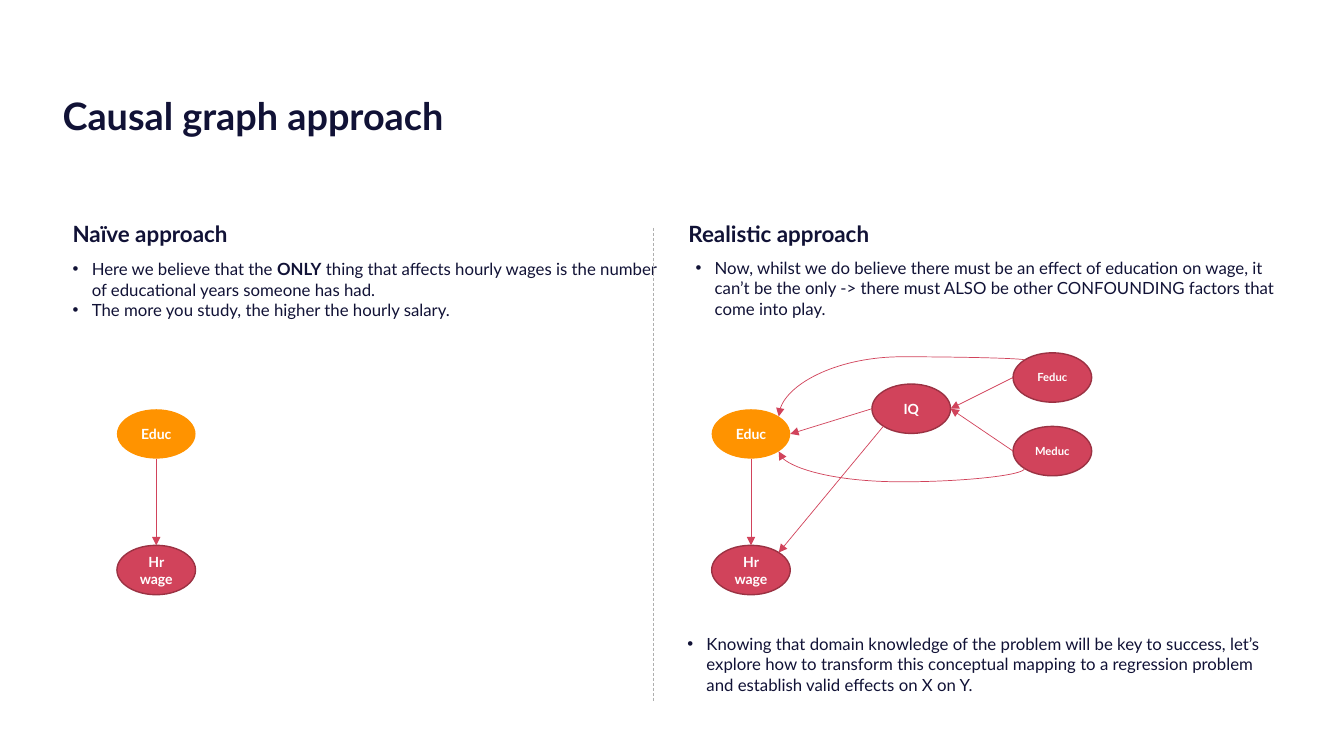
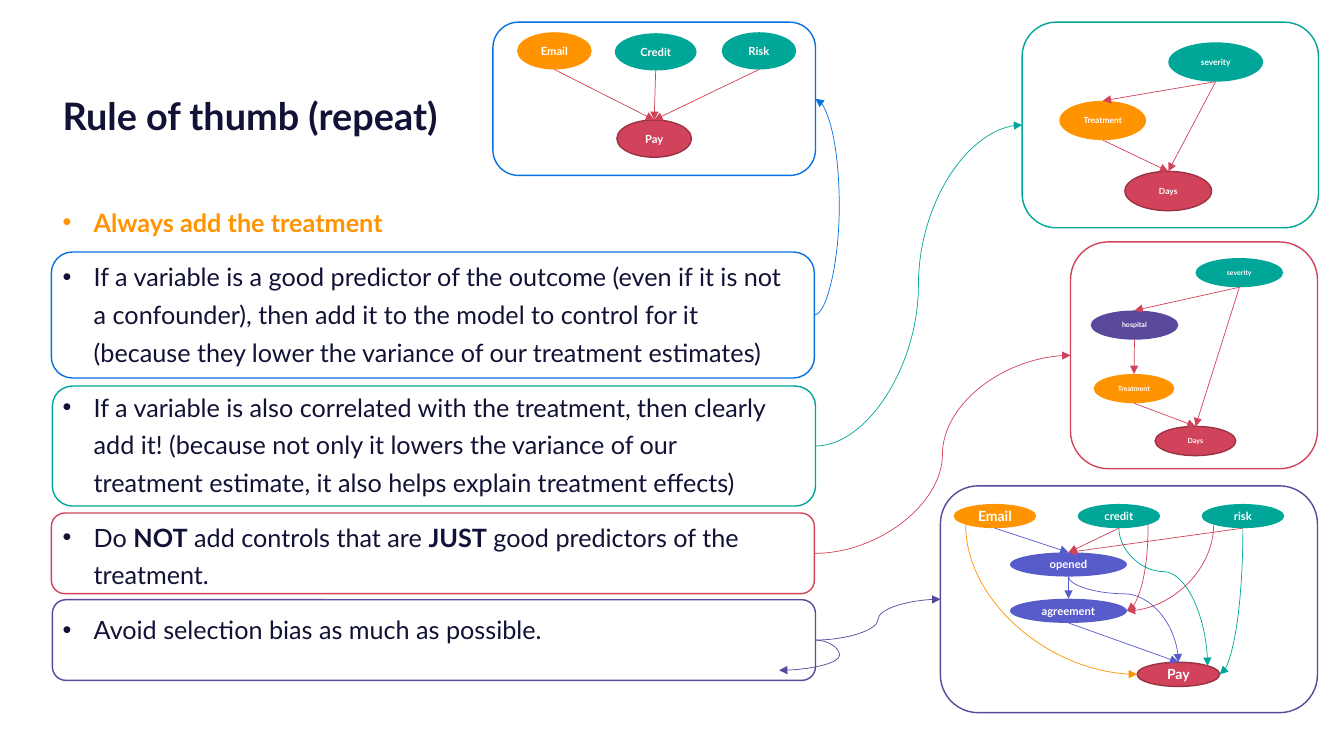
"""Build two slides on causal graphs and the choice of control variables."""
import enum
import math
from dataclasses import dataclass
from typing import Any, Optional

import pptx
import pptx.dml.color
import pptx.enum.dml
import pptx.enum.shapes
import pptx.enum.text
import pptx.oxml
import pptx.oxml.ns
import pptx.util

RGBColor = pptx.dml.color.RGBColor
NAVY = RGBColor(0x11, 0x12, 0x36)
WHITE = RGBColor(0xFF, 0xFF, 0xFF)
ORANGE = RGBColor(0xFF, 0x93, 0x00)
RED = RGBColor(0xD1, 0x43, 0x5B)
DARK_RED = RGBColor(0x9B, 0x32, 0x43)
TEAL = RGBColor(0x00, 0xA6, 0x98)
BLUE = RGBColor(0x07, 0x70, 0xE3)
PURPLE = RGBColor(0x59, 0x48, 0x9B)
VIOLET = RGBColor(0x58, 0x5B, 0xCA)
GREY = RGBColor(0xAF, 0xAF, 0xAF)

FONT = "Lato"
COLUMNS, ROWS = 133.33, 75
CELL = 91440
MARGIN = 6.2
TOP, LEFT, BOTTOM, RIGHT = 0, 2, 4, 6
TOP_LEFT, BOTTOM_LEFT, BOTTOM_RIGHT, TOP_RIGHT = 1, 3, 5, 7
FRAME_LEFT, FRAME_RIGHT = 1, 3


class Route(enum.Enum):
    """Path taken by an arrow."""
    STRAIGHT = "line"
    SIDEWAYS = "curvedConnector3"
    UPRIGHT = "upright"
    ARC = "curvedConnector2"


@dataclass(frozen=True)
class Box:
    """Area in grid columns and rows."""
    left: float
    top: float
    width: float
    height: float

    def lengths(self) -> list[int]:
        """Return the area in slide units."""
        return [cells(value) for value in (self.left, self.top, self.width, self.height)]


@dataclass(frozen=True)
class Piece:
    """One run of text."""
    text: str
    bold: bool = False
    color: RGBColor = NAVY


@dataclass(frozen=True)
class TextStyle:
    """Size and spacing of paragraphs."""
    size: float
    indent: float = 0
    line_spacing: float = 1
    space_after: float = 0


@dataclass(frozen=True)
class End:
    """End of an arrow, joined to a shape when there is one."""
    x: float
    y: float
    shape: Any = None
    site: int = 0


@dataclass(frozen=True)
class Node:
    """Drawn ellipse or frame with its connection sites."""
    shape: Any
    box: Box
    sites: int

    def at(self, site: int) -> End:
        """Return the connection site, counted anticlockwise from the top."""
        angle = 2 * math.pi * site / self.sites
        return End(self.box.left + self.box.width * (1 - math.sin(angle)) / 2,
                   self.box.top + self.box.height * (1 - math.cos(angle)) / 2, self.shape, site)


@dataclass(frozen=True)
class Variable:
    """Variable of a causal graph."""
    label: str
    left: float
    top: float
    color: RGBColor
    size: Optional[float] = None
    width: Optional[float] = None


@dataclass(frozen=True)
class Link:
    """Arrow between two variables."""
    source: str
    target: str
    start: int = BOTTOM
    end: int = TOP
    color: RGBColor = RED
    route: Route = Route.STRAIGHT
    bend: float = 0


TITLE = TextStyle(27, line_spacing=1.08)
HEADING = TextStyle(16)
NOTE = TextStyle(12, indent=1.9)
RULE = TextStyle(18, indent=3.1, line_spacing=1.25, space_after=12)


def cells(value: float) -> int:
    """Convert grid cells to slide units."""
    return round(value * CELL)


def write(shape: Any, paragraphs: list[list[Piece]], style: TextStyle, inset: bool = True) -> None:
    """Write paragraphs into a shape, run by run."""
    frame = shape.text_frame
    frame.word_wrap = True
    frame.auto_size = pptx.enum.text.MSO_AUTO_SIZE.NONE
    frame.vertical_anchor = pptx.enum.text.MSO_ANCHOR.TOP
    if not inset:
        frame.margin_left = frame.margin_right = frame.margin_top = frame.margin_bottom = 0
    for index, pieces in enumerate(paragraphs):
        paragraph = frame.add_paragraph() if index else frame.paragraphs[0]
        if style.indent:
            properties = paragraph._p.get_or_add_pPr()
            properties.set("marL", str(cells(style.indent)))
            properties.set("indent", str(-cells(style.indent)))
            for tag, name, value in (("a:buFont", "typeface", "Arial"), ("a:buChar", "char", "•")):
                properties.append(pptx.oxml.parse_xml(
                    f'<{tag} {pptx.oxml.ns.nsdecls("a")} {name}="{value}"/>'))
        paragraph.alignment = pptx.enum.text.PP_ALIGN.LEFT
        paragraph.line_spacing = style.line_spacing
        paragraph.space_before = pptx.util.Pt(0)
        paragraph.space_after = pptx.util.Pt(style.space_after)
        for piece in pieces:
            add_run(paragraph, piece, style.size)


def add_run(paragraph: Any, piece: Piece, size: float) -> None:
    """Add one formatted run."""
    run = paragraph.add_run()
    run.text = piece.text
    run.font.name, run.font.size, run.font.bold = FONT, pptx.util.Pt(size), piece.bold
    run.font.color.rgb = piece.color


def place(shape: Any, box: Box) -> None:
    """Move a placeholder."""
    shape.left, shape.top, shape.width, shape.height = box.lengths()


def add_titled_slide(presentation: Any, layout: int, title: str) -> Any:
    """Add a slide with the shared title style."""
    slide = presentation.slides.add_slide(presentation.slide_layouts[layout])
    place(slide.shapes.title, Box(MARGIN, 8.8, 72.8, 4.4))
    write(slide.shapes.title, [[Piece(title, True)]], TITLE, inset=False)
    return slide


def add_frame(slide: Any, box: Box, color: RGBColor) -> Node:
    """Add a rounded outline."""
    shape = slide.shapes.add_shape(pptx.enum.shapes.MSO_SHAPE.ROUNDED_RECTANGLE, *box.lengths())
    shape.shadow.inherit = False
    shape.fill.background()
    shape.line.color.rgb, shape.line.width = color, pptx.util.Pt(1)
    return Node(shape, box, 4)


def add_ellipse(slide: Any, variable: Variable, box: Box, size: float) -> Node:
    """Add a labelled ellipse; an outcome has a dark outline."""
    shape = slide.shapes.add_shape(pptx.enum.shapes.MSO_SHAPE.OVAL, *box.lengths())
    shape.shadow.inherit = False
    shape.fill.solid()
    shape.fill.fore_color.rgb = variable.color
    if variable.color == RED:
        shape.line.color.rgb, shape.line.width = DARK_RED, pptx.util.Pt(1)
    else:
        shape.line.fill.background()
    shape.text_frame.word_wrap = True
    shape.text_frame.vertical_anchor = pptx.enum.text.MSO_ANCHOR.MIDDLE
    paragraph = shape.text_frame.paragraphs[0]
    paragraph.alignment = pptx.enum.text.PP_ALIGN.CENTER
    add_run(paragraph, Piece(variable.label, True, WHITE), size)
    return Node(shape, box, 8)


def add_line(slide: Any, start: End, end: End, color: RGBColor, curved: bool = False) -> Any:
    """Add a thin line without shadow."""
    kinds = pptx.enum.shapes.MSO_CONNECTOR
    connector = slide.shapes.add_connector(
        kinds.CURVE if curved else kinds.STRAIGHT,
        *(cells(value) for value in (start.x, start.y, end.x, end.y)))
    connector.line.color.rgb, connector.line.width = color, pptx.util.Pt(0.5)
    connector._element.spPr.append(
        pptx.oxml.parse_xml(f'<a:effectLst {pptx.oxml.ns.nsdecls("a")}/>'))
    return connector


def bend_connector(connector: Any, start: End, end: End, route: Route, bend: float) -> None:
    """Shape a curve that leaves sideways, or upright after a quarter turn."""
    across, down = end.x - start.x, end.y - start.y
    properties = connector._element.spPr
    transform = properties.find(pptx.oxml.ns.qn("a:xfrm"))
    geometry = properties.find(pptx.oxml.ns.qn("a:prstGeom"))
    first, origin, flips = across, start.x, (across < 0, down < 0)
    if route is not Route.SIDEWAYS:
        first, origin, flips = down, start.y, (down < 0, across > 0)
        transform.set("rot", "5400000")
        connector.left = cells((start.x + end.x - abs(down)) / 2)
        connector.top = cells((start.y + end.y - abs(across)) / 2)
        connector.width, connector.height = cells(abs(down)), cells(abs(across))
    for name, flip in zip(("flipH", "flipV"), flips):
        transform.set(name, str(int(flip)))
    if route is Route.ARC:
        geometry.set("prst", Route.ARC.value)
        return
    guides = geometry.get_or_add_avLst()
    share = round(100000 * (bend - origin) / first)
    guides.append(pptx.oxml.parse_xml(
        f'<a:gd {pptx.oxml.ns.nsdecls("a")} name="adj1" fmla="val {share}"/>'))


def add_arrow(slide: Any, start: End, end: End, color: RGBColor,
              route: Route = Route.STRAIGHT, bend: float = 0) -> None:
    """Add an arrow joined to the shapes at its ends."""
    connector = add_line(slide, start, end, color, route is not Route.STRAIGHT)
    joins = ((start, connector.begin_connect, "a:stCxn"), (end, connector.end_connect, "a:endCxn"))
    for joint, connect, tag in joins:
        if joint.shape is not None:
            connect(joint.shape, 0)
            next(connector._element.iter(pptx.oxml.ns.qn(tag))).set("idx", str(joint.site))
    connector.begin_x, connector.begin_y = cells(start.x), cells(start.y)
    connector.end_x, connector.end_y = cells(end.x), cells(end.y)
    if route is not Route.STRAIGHT:
        bend_connector(connector, start, end, route, bend)
    connector.line._get_or_add_ln().append(
        pptx.oxml.parse_xml(f'<a:tailEnd {pptx.oxml.ns.nsdecls("a")} type="triangle"/>'))


def add_graph(slide: Any, variables: list[Variable], links: list[Link],
              width: float, height: float, size: float) -> None:
    """Draw variables and the arrows between them."""
    nodes = {}
    for variable in variables:
        box = Box(variable.left, variable.top, variable.width or width, height)
        nodes[variable.label] = add_ellipse(slide, variable, box, variable.size or size)
    for link in links:
        add_arrow(slide, nodes[link.source].at(link.start), nodes[link.target].at(link.end),
                  link.color, link.route, link.bend)


def build_approaches(presentation: Any) -> None:
    """Compare the naïve and the realistic graph."""
    slide = add_titled_slide(presentation, 4, "Causal graph approach")
    naive_heading, naive_list, real_heading, real_list = list(slide.placeholders)[1:]
    for shape, left, text in ((naive_heading, MARGIN, "Naïve approach"),
                              (real_heading, 67.3, "Realistic approach")):
        place(shape, Box(left, 21.3, 61.1, 3.7))
        write(shape, [[Piece(text, True)]], HEADING)
    place(naive_list, Box(MARGIN, 25.2, 60.4, 9.8))
    write(naive_list, [
        [Piece("Here we believe that the "), Piece("ONLY", True),
         Piece(" thing that affects hourly wages is the number of educational years someone has had.")],
        [Piece("The more you study, the higher the hourly salary.")]], NOTE)
    place(real_list, Box(68, 25.1, 60.4, 7.1))
    write(real_list, [[Piece("Now, whilst we do believe there must be an effect of education on wage, it can’t be the only -> there must ALSO be other CONFOUNDING factors that come into play.")]], NOTE)
    closing = slide.shapes.add_textbox(*Box(67.2, 62.4, 60.4, 7.1).lengths())
    write(closing, [[Piece("Knowing that domain knowledge of the problem will be key to success, let’s explore how to transform this conceptual mapping to a regression problem and establish valid effects on X on Y.")]], NOTE)
    confounders = [Variable("IQ", 86.5, 38.1, RED), Variable("Meduc", 100.5, 42.3, RED, 8),
                   Variable("Feduc", 100.5, 35, RED, 8)]
    paths = [Link("Feduc", "IQ", LEFT, RIGHT), Link("Meduc", "IQ", LEFT, RIGHT),
             Link("IQ", "Educ", LEFT, RIGHT), Link("IQ", "Hr wage", BOTTOM_LEFT, TOP_RIGHT),
             Link("Feduc", "Educ", TOP_LEFT, TOP_RIGHT, RED, Route.UPRIGHT, 35.4),
             Link("Meduc", "Educ", BOTTOM_LEFT, BOTTOM_RIGHT, RED, Route.UPRIGHT, 47.8)]
    for left, extra, links in ((11.6, [], []), (70.6, confounders, paths)):
        core = [Variable("Educ", left, 40.6, ORANGE), Variable("Hr wage", left, 54.1, RED)]
        add_graph(slide, core + extra, [Link("Educ", "Hr wage")] + links, 7.8, 4.9, 10)
    divider = add_line(slide, End(64.8, 22.6), End(64.8, 69.5), GREY)
    divider.line.dash_style = pptx.enum.dml.MSO_LINE.DASH


def build_rules(presentation: Any) -> None:
    """Match each rule of thumb with its graph."""
    slide = add_titled_slide(presentation, 1, "Rule of thumb (repeat)")
    body = slide.placeholders[1]
    place(body, Box(MARGIN, 19.8, 71.7, 44.2))
    write(body, [
        [Piece("Always add the treatment", True, ORANGE)],
        [Piece("If a variable is a good predictor of the outcome (even if it is not a confounder), then add it to the model to control for it (because they lower the variance of our treatment estimates)")],
        [Piece("If a variable is also correlated with the treatment, then clearly add it! (because not only it lowers the variance of our treatment estimate, it also helps explain treatment effects)")],
        [Piece("Do "), Piece("NOT", True), Piece(" add controls that are "), Piece("JUST", True),
         Piece(" good predictors of the treatment.")],
        [Piece("Avoid selection bias as much as possible.")]], RULE, inset=False)
    add_graph(slide, [Variable("Email", 51.3, 3.2, ORANGE), Variable("Pay", 61.2, 11.9, RED),
                      Variable("Credit", 61, 3.3, TEAL, width=8.1), Variable("Risk", 71.6, 3.2, TEAL)],
              [Link(name, "Pay") for name in ("Email", "Risk", "Credit")], 7.4, 3.7, 8)
    effects = [Link("Treatment", "Days"), Link("severity", "Days")]
    add_graph(slide, [Variable("Treatment", 105.1, 10, ORANGE), Variable("Days", 111.6, 17, RED),
                      Variable("severity", 115.9, 4.2, TEAL, width=9.4)],
              effects + [Link("severity", "Treatment")], 8.6, 3.9, 6)
    add_graph(slide, [Variable("Treatment", 108.5, 37.1, ORANGE), Variable("Days", 114.6, 42.3, RED),
                      Variable("severity", 118.6, 25.6, TEAL, width=8.7),
                      Variable("hospital", 108.2, 30.8, PURPLE, width=8.7)],
              effects + [Link("hospital", "Treatment"), Link("severity", "hospital")], 8, 2.9, 5)
    add_graph(slide, [Variable("Email", 94.6, 50, ORANGE, 10), Variable("Pay", 112.8, 65.7, RED, 10),
                      Variable("opened", 100.2, 54.8, VIOLET, width=11.6),
                      Variable("risk", 119.2, 50, TEAL), Variable("credit", 106.9, 50, TEAL),
                      Variable("agreement", 100.2, 59.4, VIOLET, width=11.6)],
              [Link("agreement", "Pay", color=VIOLET),
               Link("opened", "Pay", BOTTOM, TOP, VIOLET, Route.UPRIGHT, 58.9),
               Link("opened", "agreement", color=VIOLET),
               Link("Email", "Pay", BOTTOM_LEFT, LEFT, ORANGE, Route.ARC),
               Link("Email", "opened", color=VIOLET),
               Link("credit", "Pay", BOTTOM, TOP_RIGHT, TEAL, Route.UPRIGHT, 56.7),
               Link("risk", "Pay", BOTTOM, RIGHT, TEAL, Route.ARC),
               Link("credit", "opened"), Link("risk", "opened"),
               Link("credit", "agreement", BOTTOM_RIGHT, RIGHT, RED, Route.ARC),
               Link("risk", "agreement", BOTTOM_LEFT, RIGHT, RED, Route.ARC)], 8.2, 2.4, 8)
    pairs = ((BLUE, Box(5.1, 25, 75.7, 12.5), Box(48.9, 2.2, 32, 15.2), FRAME_RIGHT, 83.3),
             (TEAL, Box(5.2, 38.3, 75.7, 11.9), Box(101.4, 2.2, 29.4, 20.4), FRAME_LEFT, 91.1),
             (RED, Box(5.1, 50.9, 75.7, 8), Box(106.2, 24, 24.5, 22.5), FRAME_LEFT, 93.5),
             (PURPLE, Box(5.2, 59.5, 75.7, 8), Box(93.3, 48.2, 37.4, 22.5), FRAME_LEFT, 87.1))
    for color, rule_box, graph_box, site, bend in pairs:
        rule, graph = add_frame(slide, rule_box, color), add_frame(slide, graph_box, color)
        add_arrow(slide, rule.at(FRAME_RIGHT), graph.at(site), color, Route.SIDEWAYS, bend)
    add_arrow(slide, rule.at(FRAME_RIGHT), End(77.3, 66.5), PURPLE, Route.SIDEWAYS, 83.3)


def main() -> None:
    """Build and save the presentation."""
    presentation = pptx.Presentation()
    presentation.slide_width, presentation.slide_height = cells(COLUMNS), cells(ROWS)
    build_approaches(presentation)
    build_rules(presentation)
    presentation.save("out.pptx")


if __name__ == "__main__":
    main()
